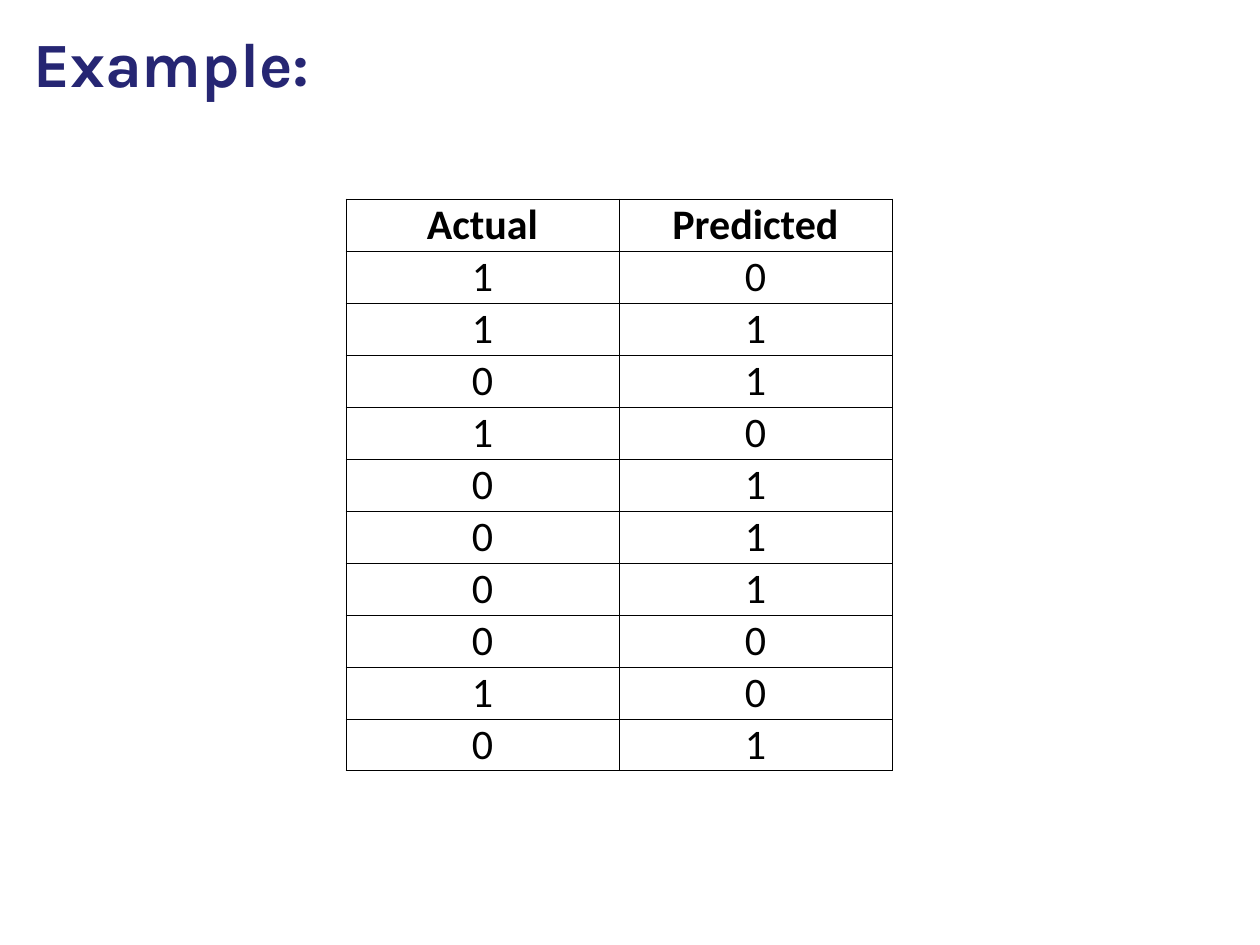
from typing import NamedTuple

from lxml.etree import SubElement
from pptx import Presentation
from pptx.dml.color import RGBColor
from pptx.enum.text import MSO_ANCHOR, PP_ALIGN
from pptx.oxml.ns import qn
from pptx.util import Emu, Pt

SCALE = 914400 // 126


class Box(NamedTuple):
    left: int
    top: int
    width: int
    height: int


class Style(NamedTuple):
    font: str
    size: int
    color: str
    bold: bool


class Pair(NamedTuple):
    actual: str
    predicted: str


TITLE = Style("Karla", 36, "262673", True)
HEAD = Style("Calibri", 24, "000000", True)
BODY = Style("Calibri", 24, "000000", False)

PAIRS = [
    Pair("Actual", "Predicted"),
    Pair("1", "0"),
    Pair("1", "1"),
    Pair("0", "1"),
    Pair("1", "0"),
    Pair("0", "1"),
    Pair("0", "1"),
    Pair("0", "1"),
    Pair("0", "0"),
    Pair("1", "0"),
    Pair("0", "1"),
]


def px(count: int) -> Emu:
    return Emu(count * SCALE)


def paint(color: str) -> RGBColor:
    return RGBColor.from_string(color)


def write(frame, text: str, style: Style, align: PP_ALIGN) -> None:
    frame.text = text
    para = frame.paragraphs[0]
    para.alignment = align
    font = para.runs[0].font
    font.name, font.size, font.bold = style.font, Pt(style.size), style.bold
    font.color.rgb = paint(style.color)


def border(cell, color: str, width: float) -> None:
    props = cell._tc.get_or_add_tcPr()
    for index, side in enumerate(("lnL", "lnR", "lnT", "lnB")):
        line = props.makeelement(qn(f"a:{side}"), {"w": str(Pt(width))})
        fill = SubElement(line, qn("a:solidFill"))
        SubElement(fill, qn("a:srgbClr"), val=color)
        props.insert(index, line)


def draw_title(slide, box: Box, text: str) -> None:
    frame = slide.shapes.add_textbox(*map(px, box)).text_frame
    frame.word_wrap = True
    frame.vertical_anchor = MSO_ANCHOR.BOTTOM
    write(frame, text, TITLE, PP_ALIGN.LEFT)


def draw_cell(cell, text: str, style: Style) -> None:
    cell.fill.background()
    cell.vertical_anchor = MSO_ANCHOR.BOTTOM
    cell.margin_left = cell.margin_right = cell.margin_top = px(1)
    cell.margin_bottom = 0
    write(cell.text_frame, text, style, PP_ALIGN.CENTER)
    border(cell, "000000", 0.5)


def draw_table(slide, box: Box, pairs: list[Pair]) -> None:
    count = len(Pair._fields)
    table = slide.shapes.add_table(len(pairs), count, *map(px, box)).table
    table.horz_banding = False
    table.first_row = False
    for row, pair in enumerate(pairs):
        for col, text in enumerate(pair):
            draw_cell(table.cell(row, col), text, BODY if row else HEAD)


def main() -> None:
    deck = Presentation()
    deck.slide_width, deck.slide_height = px(1260), px(945)
    slide = deck.slides.add_slide(deck.slide_layouts[6])
    draw_title(slide, Box(21, 21, 1074, 85), "Example:")
    draw_table(slide, Box(346, 199, 546, 52 * len(PAIRS)), PAIRS)
    deck.save("out.pptx")


if __name__ == "__main__":
    main()
